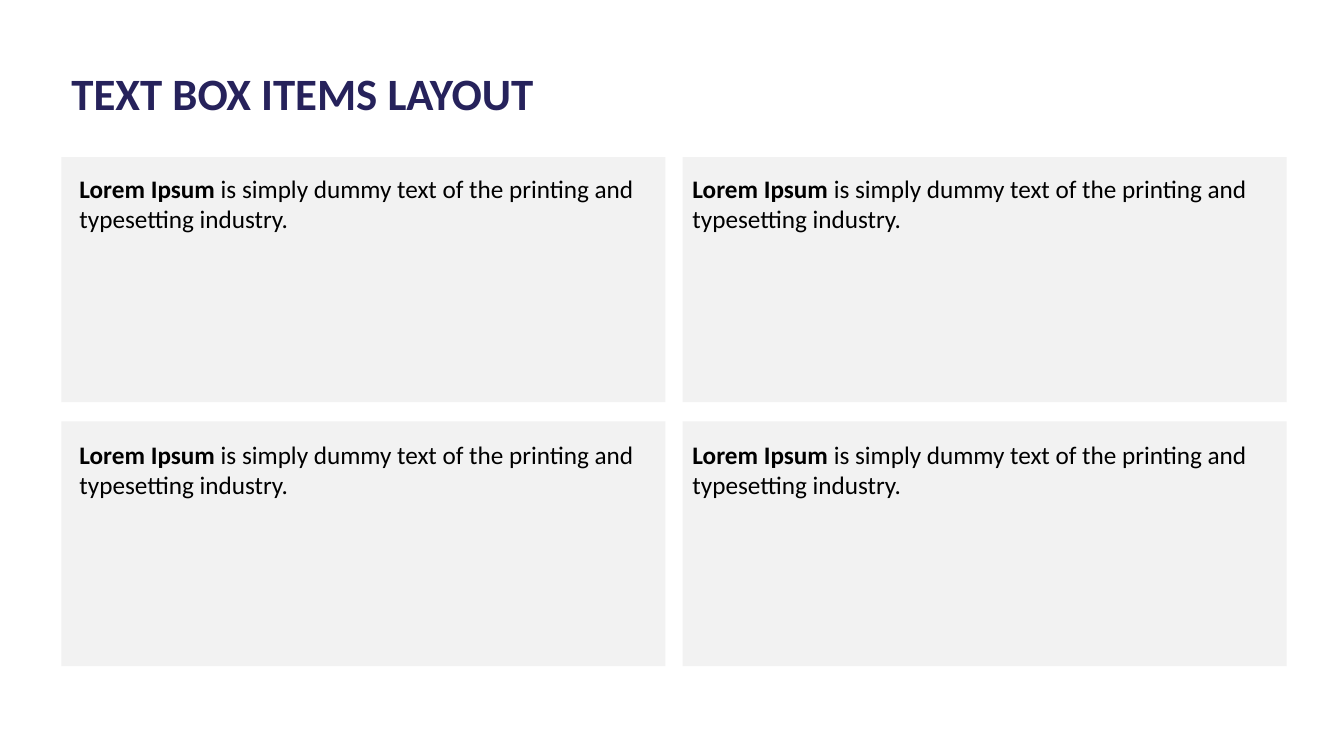
from dataclasses import dataclass

from pptx import Presentation
from pptx.dml.color import RGBColor
from pptx.enum.shapes import MSO_SHAPE
from pptx.enum.text import MSO_AUTO_SIZE
from pptx.slide import Slide
from pptx.util import Emu, Pt


@dataclass(frozen=True)
class Theme:
    font: str = "Calibri"
    title: str = "26225B"
    body: str = "000000"
    panel: str = "F2F2F2"
    large: int = 32
    small: int = 18


@dataclass(frozen=True)
class Box:
    left: int
    top: int
    width: int
    height: int


@dataclass(frozen=True)
class Card:
    panel: Box
    text: Box
    lead: str
    rest: str


THEME = Theme()
SCALE = 9144
LEAD = "Lorem Ipsum "
REST = "is simply dummy text of the printing and typesetting industry."
COLUMNS = ((61, 69), (677, 677))
ROWS = ((156, 167), (418, 431))
CARDS = [
    Card(Box(left, top, 599, 243), Box(inset, line, 583, 71), LEAD, REST)
    for top, line in ROWS
    for left, inset in COLUMNS
]


def px(count: int) -> Emu:
    return Emu(count * SCALE)


def place(box: Box) -> tuple[Emu, Emu, Emu, Emu]:
    return px(box.left), px(box.top), px(box.width), px(box.height)


def add_panel(slide: Slide, box: Box) -> None:
    panel = slide.shapes.add_shape(MSO_SHAPE.RECTANGLE, *place(box))
    panel.shadow.inherit = False
    panel.fill.solid()
    panel.fill.fore_color.rgb = RGBColor.from_string(THEME.panel)
    panel.line.fill.background()


def add_text(slide: Slide, box: Box, lead: str, rest: str = "", *,
             size: int = THEME.small, color: str = THEME.body,
             wrap: bool = True) -> None:
    frame = slide.shapes.add_textbox(*place(box)).text_frame
    frame.word_wrap = wrap
    frame.auto_size = MSO_AUTO_SIZE.SHAPE_TO_FIT_TEXT
    for text, bold in ((lead, True), (rest, False)):
        if text:
            run = frame.paragraphs[0].add_run()
            run.text = text
            run.font.name = THEME.font
            run.font.size = Pt(size)
            run.font.bold = bold
            run.font.color.rgb = RGBColor.from_string(color)


def main() -> None:
    deck = Presentation()
    deck.slide_width, deck.slide_height = px(1333), px(750)
    slide = deck.slides.add_slide(deck.slide_layouts[6])
    for card in CARDS:
        add_panel(slide, card.panel)
    add_text(slide, Box(61, 60, 563, 64), "TEXT BOX ITEMS LAYOUT",
             size=THEME.large, color=THEME.title, wrap=False)
    for card in CARDS:
        add_text(slide, card.text, card.lead, card.rest)
    deck.save("out.pptx")


if __name__ == "__main__":
    main()
